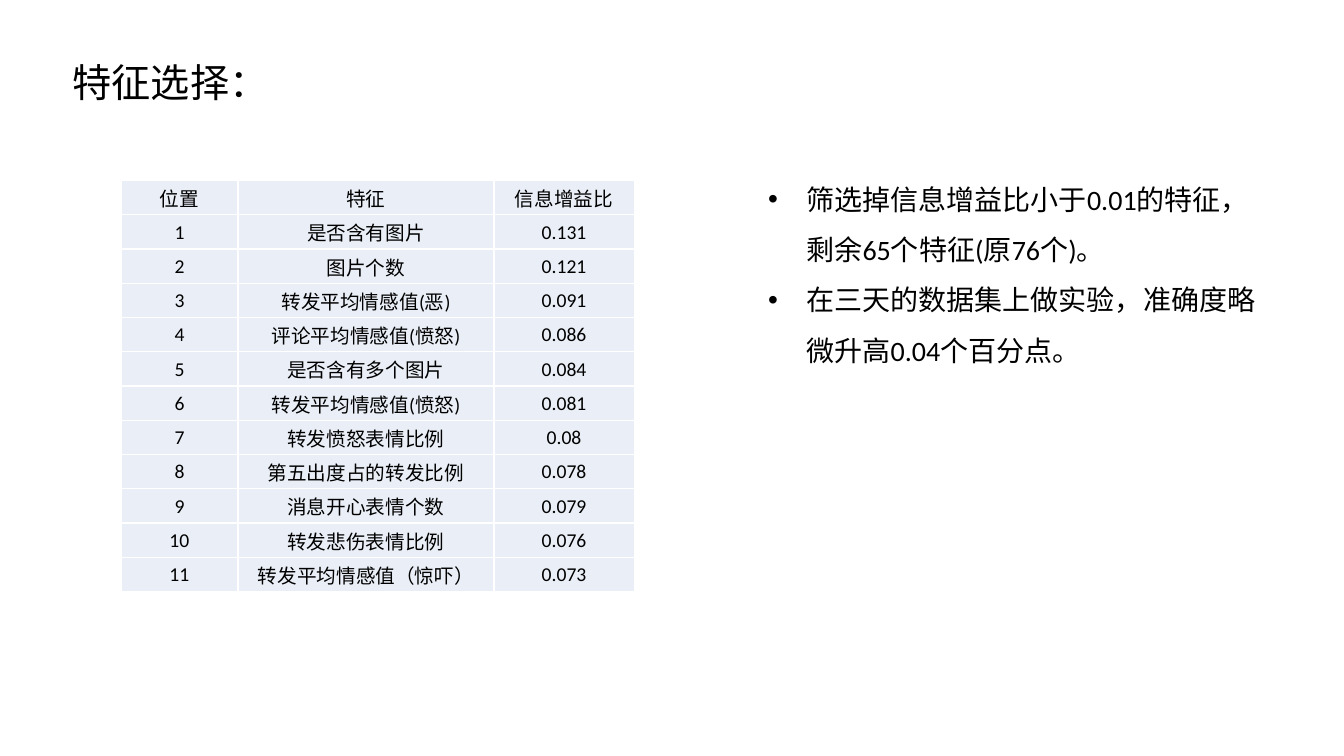
from lxml import etree
from pptx import Presentation, util as u
from pptx.dml.color import RGBColor
from pptx.enum import text
from pptx.oxml import ns

PX = 9144
COLORS = {"ink": "000000", "cell": "EAEFF7", "grid": "FFFFFF"}
FONT = "Calibri"
HEADINGS = ("位置", "特征", "信息增益比")
FEATURES = [
    ("是否含有图片", "0.131"),
    ("图片个数", "0.121"),
    ("转发平均情感值(恶)", "0.091"),
    ("评论平均情感值(愤怒)", "0.086"),
    ("是否含有多个图片", "0.084"),
    ("转发平均情感值(愤怒)", "0.081"),
    ("转发愤怒表情比例", "0.08"),
    ("第五出度占的转发比例", "0.078"),
    ("消息开心表情个数", "0.079"),
    ("转发悲伤表情比例", "0.076"),
    ("转发平均情感值（惊吓）", "0.073"),
]
FINDINGS = [
    "筛选掉信息增益比小于0.01的特征，剩余65个特征(原76个)。",
    "在三天的数据集上做实验，准确度略微升高0.04个百分点。",
]


def px(*lengths):
    return [u.Emu(length * PX) for length in lengths]


def color(name):
    return RGBColor.from_string(COLORS[name])


def child(parent, tag, **attributes):
    return etree.SubElement(parent, ns.qn(tag), attributes)


def write(paragraph, words, size, align=text.PP_ALIGN.LEFT, spacing=None):
    paragraph.alignment = align
    paragraph.line_spacing = spacing
    run = paragraph.add_run()
    run.text = words
    run.font.size = u.Pt(size)
    run.font.name = FONT
    run.font.color.rgb = color("ink")


def add_bullet(paragraph, indent):
    properties = paragraph._p.get_or_add_pPr()
    properties.set("marL", str(indent * PX))
    properties.set("indent", str(-indent * PX))
    child(properties, "a:buFont", typeface="Arial")
    child(properties, "a:buChar", char="•")


def add_borders(cell):
    properties = cell._tc.get_or_add_tcPr()
    for side in ("a:lnL", "a:lnR", "a:lnT", "a:lnB"):
        line = child(properties, side, w=str(u.Pt(1)))
        child(child(line, "a:solidFill"), "a:srgbClr", val=COLORS["grid"])


def add_title(slide, words):
    title = slide.shapes.title
    title.left, title.top, title.width, title.height = px(62, 65, 1150, 39)
    frame = title.text_frame
    frame.auto_size = text.MSO_AUTO_SIZE.NONE
    frame.vertical_anchor = text.MSO_ANCHOR.MIDDLE
    write(frame.paragraphs[0], words, size=28, spacing=0.9)


def add_feature_table(slide):
    ranking = [HEADINGS]
    ranking += [(str(place), *feature) for place, feature in enumerate(FEATURES, 1)]
    table = slide.shapes.add_table(
        len(ranking), len(HEADINGS), *px(120, 179, 509, 408)
    ).table
    table.first_row = table.horz_banding = False
    for column, width in zip(table.columns, px(116, 254, 139)):
        column.width = width
    for row, values in zip(table.rows, ranking):
        row.height = px(34)[0]
        for cell, value in zip(row.cells, values):
            cell.margin_left, cell.margin_right, cell.margin_top, cell.margin_bottom = px(1, 1, 1, 0)
            cell.vertical_anchor = text.MSO_ANCHOR.MIDDLE
            add_borders(cell)
            cell.fill.solid()
            cell.fill.fore_color.rgb = color("cell")
            write(cell.text_frame.paragraphs[0], value, size=14, align=text.PP_ALIGN.CENTER)


def add_findings(slide):
    frame = slide.shapes.add_textbox(*px(752, 159, 520, 212)).text_frame
    frame.word_wrap = True
    frame.auto_size = text.MSO_AUTO_SIZE.SHAPE_TO_FIT_TEXT
    for index, finding in enumerate(FINDINGS):
        paragraph = frame.add_paragraph() if index else frame.paragraphs[0]
        write(paragraph, finding, size=20, spacing=1.5)
        add_bullet(paragraph, indent=38)


def main():
    deck = Presentation()
    deck.slide_width, deck.slide_height = px(1333, 750)
    slide = deck.slides.add_slide(deck.slide_layouts[5])
    add_title(slide, "特征选择：")
    add_feature_table(slide)
    add_findings(slide)
    deck.save("out.pptx")


if __name__ == "__main__":
    main()
